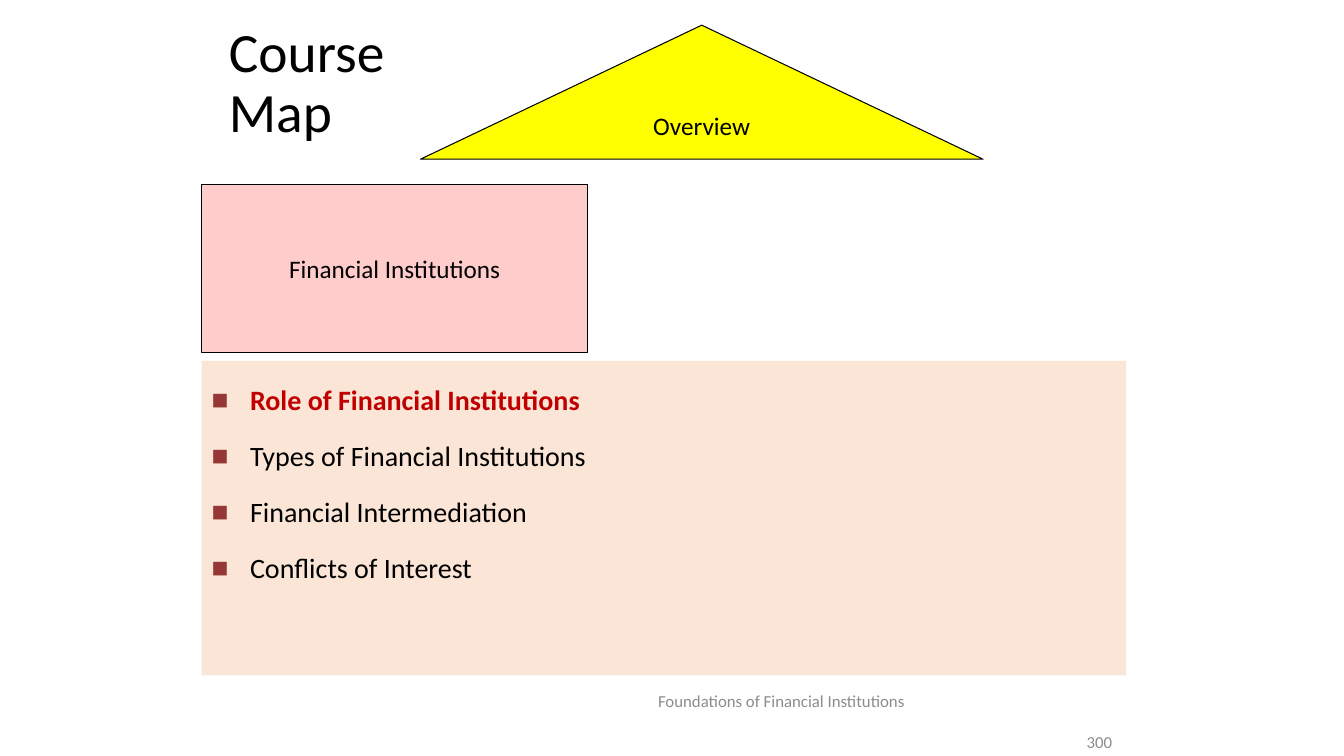
from lxml import etree
from pptx import Presentation
from pptx.dml.color import RGBColor
from pptx.enum.shapes import MSO_SHAPE as SHAPE
from pptx.enum.text import MSO_ANCHOR as ANCHOR, MSO_AUTO_SIZE as AUTO_SIZE, PP_ALIGN as ALIGN
from pptx.oxml.ns import qn
from pptx.util import Inches, Pt

COLORS = {
    "black": "000000",
    "grey": "8C8C8C",
    "highlight": "C00000",
    "bullet": "953735",
    "roof": "FFFF00",
    "block": "FFCCCC",
    "panel": "FBE5D6",
}
TOPICS = [
    "Role of Financial Institutions",
    "Types of Financial Institutions",
    "Financial Intermediation",
    "Conflicts of Interest",
]


def rgb(name):
    return RGBColor.from_string(COLORS[name])


def place(shape, box):
    shape.left, shape.top, shape.width, shape.height = map(Inches, box)


def set_frame(shape, anchor=ANCHOR.MIDDLE, wrap=True):
    frame = shape.text_frame
    frame.auto_size = AUTO_SIZE.NONE
    frame.word_wrap = wrap
    frame.vertical_anchor = anchor
    return frame


def write(paragraph, text, size=18, color="black", bold=False, align=ALIGN.LEFT,
          spacing=1.0, before=0):
    paragraph.alignment = align
    paragraph.line_spacing = spacing
    paragraph.space_before = Pt(before)
    run = paragraph.add_run()
    run.text = text
    run.font.name = "Calibri"
    run.font.size = Pt(size)
    run.font.bold = bold
    run.font.color.rgb = rgb(color)


def add_square_bullet(paragraph, indent=0.38):
    props = paragraph._p.get_or_add_pPr()
    props.set("marL", str(Inches(indent)))
    props.set("indent", str(-Inches(indent)))
    tint = etree.SubElement(props, qn("a:buClr"))
    etree.SubElement(tint, qn("a:srgbClr"), val=COLORS["bullet"])
    etree.SubElement(props, qn("a:buFont"), typeface="Arial")
    etree.SubElement(props, qn("a:buChar"), char="■")


def fill_title(slide, box):
    title = slide.shapes.title
    place(title, box)
    write(set_frame(title).paragraphs[0], "Course Map", size=39.6, spacing=0.9)


def add_map_part(slide, box, kind, text, fill):
    part = slide.shapes.add_shape(kind, *map(Inches, box))
    part.shadow.inherit = False
    part.fill.solid()
    part.fill.fore_color.rgb = rgb(fill)
    part.line.color.rgb = rgb("black")
    part.line.width = Pt(0.75)
    write(set_frame(part, wrap=False).paragraphs[0], text, align=ALIGN.CENTER)


def fill_topics(slide, box):
    panel = slide.placeholders[1]
    place(panel, box)
    panel.fill.solid()
    panel.fill.fore_color.rgb = rgb("panel")
    frame = set_frame(panel, anchor=ANCHOR.TOP)
    for i, topic in enumerate(TOPICS):
        current = i == 0
        paragraph = frame.paragraphs[0] if current else frame.add_paragraph()
        add_square_bullet(paragraph)
        write(paragraph, topic, size=20, color="highlight" if current else "black",
              bold=current, spacing=1.5, before=0 if current else 4)


def add_footer_text(slide, box, text, align):
    footer = slide.shapes.add_textbox(*map(Inches, box))
    write(set_frame(footer).paragraphs[0], text, size=12, color="grey", align=align)


def build_course_map(deck):
    slide = deck.slides.add_slide(deck.slide_layouts[1])
    fill_title(slide, (2.17, 0.13, 2.58, 1.42))
    add_map_part(slide, (2, 1.83, 3.83, 1.67), SHAPE.RECTANGLE,
                 "Financial Institutions", "block")
    add_map_part(slide, (4.17, 0.25, 5.58, 1.33), SHAPE.FLOWCHART_EXTRACT,
                 "Overview", "roof")
    fill_topics(slide, (2, 3.58, 9.17, 3.12))
    add_footer_text(slide, (3.84, 6.72, 7.82, 0.47),
                    "Foundations of Financial Institutions", ALIGN.CENTER)
    add_footer_text(slide, (10.68, 7.2, 1.01, 0.32), "300", ALIGN.LEFT)


def main():
    deck = Presentation()
    deck.slide_width = Inches(13.33)
    deck.slide_height = Inches(7.5)
    build_course_map(deck)
    deck.save("out.pptx")


if __name__ == "__main__":
    main()
